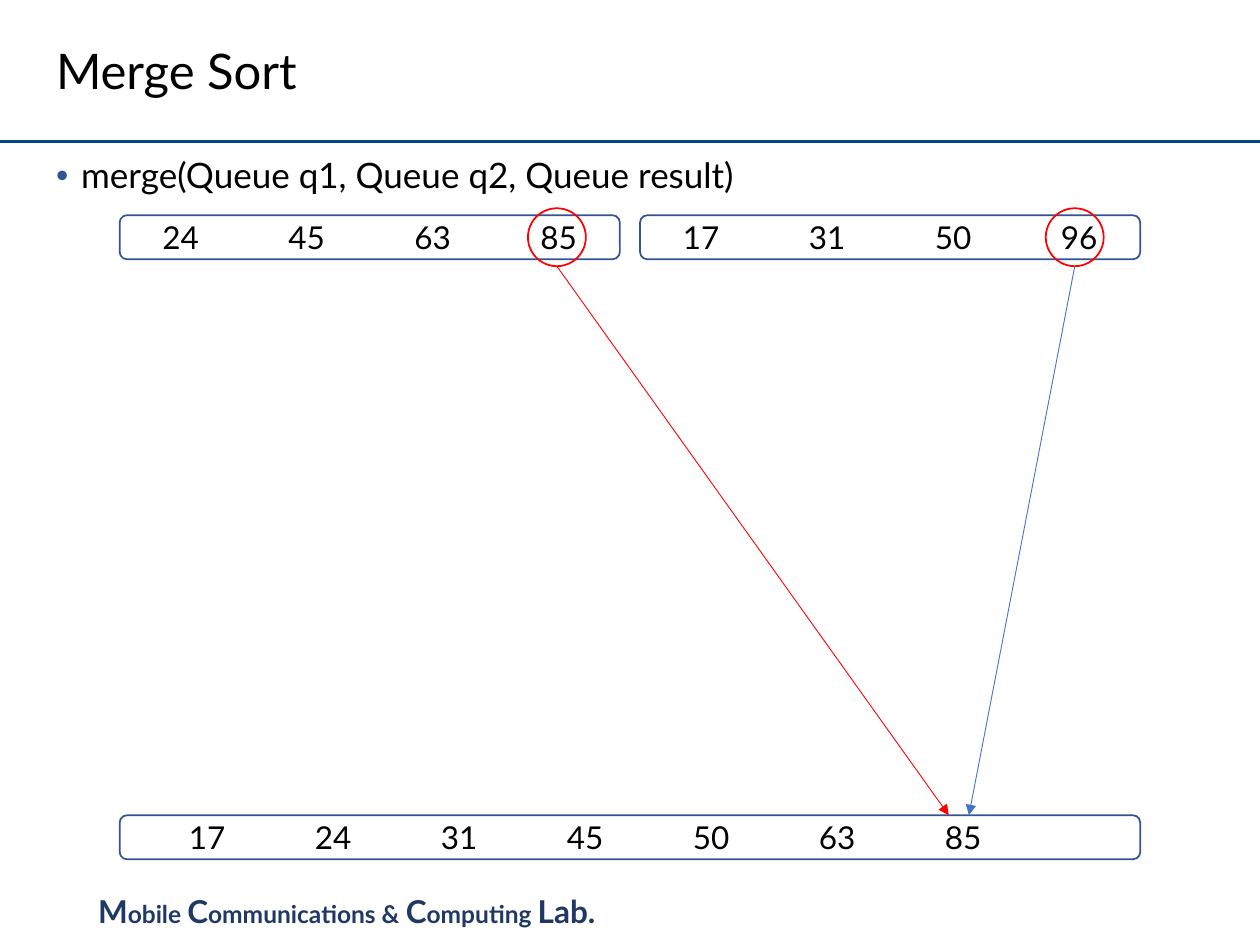
from dataclasses import dataclass

import pptx
import pptx.dml.color
import pptx.enum.shapes
import pptx.enum.text
import pptx.oxml
import pptx.oxml.ns
import pptx.util

RGBColor = pptx.dml.color.RGBColor
BLACK = RGBColor(0x00, 0x00, 0x00)
RED = RGBColor(0xFF, 0x00, 0x00)
RULE_BLUE = RGBColor(0x00, 0x46, 0x7F)
QUEUE_BLUE = RGBColor(0x32, 0x54, 0x91)
ARROW_BLUE = RGBColor(0x44, 0x72, 0xC4)
LAB_NAVY = RGBColor(0x20, 0x38, 0x64)
BULLET_BLUE = "2F5597"

FONT = "Lato"
SHAPES = pptx.enum.shapes.MSO_SHAPE
ALIGN = pptx.enum.text.PP_ALIGN
ANCHOR = pptx.enum.text.MSO_ANCHOR

# The slide is a grid of square cells
COLUMNS, ROWS = 100, 75
CELL = pptx.util.Inches(0.1)
TAB = 10

TEXT_LEFT, TEXT_WIDTH = 3.46, 93.1
RULE_ROW = 11.23
LEFT, RIGHT, GAP = 9.5, 90.5, 1.6
HALF = (RIGHT - LEFT - GAP) / 2
INPUT_ROW, RESULT_ROW, QUEUE_HEIGHT = 17.08, 64.7, 3.5
RING = 4.6
RING_ROW = INPUT_ROW + (QUEUE_HEIGHT - RING) / 2


@dataclass(frozen=True)
class Queue:
    column: float
    row: float
    width: float
    text: str


@dataclass(frozen=True)
class Comparison:
    """A ringed queue item and the arrow from it to the result."""
    column: float
    target: float
    arrow_color: RGBColor


QUEUES = [
    Queue(LEFT, INPUT_ROW, HALF, "24\t45\t63\t85"),
    Queue(LEFT + HALF + GAP, INPUT_ROW, HALF, "17\t31\t50\t96"),
    Queue(LEFT, RESULT_ROW, RIGHT - LEFT, "17\t24\t31\t45\t50\t63\t85\t"),
]
COMPARISONS = [
    Comparison(85.3, 76.9, ARROW_BLUE),
    Comparison(44.2, 75.3, RED),
]
LAB_NAME = [("M", 18), ("obile ", 14), ("C", 18), ("ommunications & ", 14),
            ("C", 18), ("omputing ", 14), ("Lab.", 18)]


def cells(count: float) -> int:
    return round(count * CELL)


def write(box, spans: list[tuple[str, float]], *, color: RGBColor = BLACK,
          bold: bool = False, align=ALIGN.LEFT, anchor=ANCHOR.TOP,
          line_spacing: float = 1.0):
    """Fill a box with one paragraph of (text, size) spans."""
    frame = box.text_frame
    frame.word_wrap = True
    frame.vertical_anchor = anchor
    para = frame.paragraphs[0]
    para.alignment = align
    para.line_spacing = line_spacing
    para._p.get_or_add_pPr().set("defTabSz", str(cells(TAB)))
    for text, size in spans:
        span = para.add_run()
        span.text = text
        span.font.name = FONT
        span.font.size = pptx.util.Pt(size)
        span.font.bold = bold
        span.font.color.rgb = color
    return para


def add_text_box(page, column: float, row: float, width: float, height: float):
    return page.shapes.add_textbox(*map(cells, (column, row, width, height)))


def add_outline(page, kind, column: float, row: float, width: float,
                height: float, color: RGBColor):
    shape = page.shapes.add_shape(
        kind, *map(cells, (column, row, width, height)))
    shape.shadow.inherit = False
    shape.fill.background()
    shape.line.color.rgb = color
    shape.line.width = pptx.util.Pt(1)
    return shape


def add_line(page, start: tuple[float, float], end: tuple[float, float],
             color: RGBColor, weight: float, arrow: bool = False) -> None:
    line = page.shapes.add_connector(
        pptx.enum.shapes.MSO_CONNECTOR.STRAIGHT, *map(cells, start + end))
    line.line.color.rgb = color
    line.line.width = pptx.util.Pt(weight)
    if arrow:
        head = pptx.oxml.parse_xml(
            f'<a:tailEnd {pptx.oxml.ns.nsdecls("a")} type="triangle"/>')
        line.line._get_or_add_ln().append(head)
    line._element.spPr.append(pptx.oxml.parse_xml(
        f'<a:effectLst {pptx.oxml.ns.nsdecls("a")}/>'))


def add_bullet(para, indent: float) -> None:
    props = para._p.get_or_add_pPr()
    props.set("marL", str(cells(indent)))
    props.set("indent", str(-cells(indent)))
    names = pptx.oxml.ns.nsdecls("a")
    for xml in (f'<a:buClr {names}><a:srgbClr val="{BULLET_BLUE}"/></a:buClr>',
                f'<a:buFont {names} typeface="Arial"/>',
                f'<a:buChar {names} char="•"/>'):
        props.append(pptx.oxml.parse_xml(xml))


def main() -> None:
    deck = pptx.Presentation()
    deck.slide_width, deck.slide_height = cells(COLUMNS), cells(ROWS)
    page = deck.slides.add_slide(deck.slide_layouts[6])

    # Lab name and header rule
    write(add_text_box(page, 6.8, 70.3, 45.3, 4), LAB_NAME,
          color=LAB_NAVY, bold=True)
    add_line(page, (0, RULE_ROW), (COLUMNS, RULE_ROW), RULE_BLUE, 1.5)

    # Bulleted signature and title
    para = write(add_text_box(page, TEXT_LEFT, 12.1, TEXT_WIDTH, 54.4),
                 [("merge(Queue q1, Queue q2, Queue result)", 20)],
                 line_spacing=0.9)
    para.space_before = pptx.util.Pt(7.5)
    add_bullet(para, 2)
    write(add_text_box(page, TEXT_LEFT, 1.45, TEXT_WIDTH, 8.8),
          [("Merge Sort", 28)], anchor=ANCHOR.MIDDLE, line_spacing=0.9)

    # Two input queues and the result queue
    for queue in QUEUES:
        box = add_outline(page, SHAPES.ROUNDED_RECTANGLE, queue.column,
                          queue.row, queue.width, QUEUE_HEIGHT, QUEUE_BLUE)
        write(box, [(queue.text, 18)], align=ALIGN.CENTER,
              anchor=ANCHOR.MIDDLE)

    # Compared items and their arrows
    for item in COMPARISONS:
        add_outline(page, SHAPES.OVAL, item.column - RING / 2, RING_ROW,
                    RING, RING, RED)
        add_line(page, (item.column, RING_ROW + RING),
                 (item.target, RESULT_ROW), item.arrow_color, 0.5, arrow=True)

    deck.save("out.pptx")


if __name__ == "__main__":
    main()
